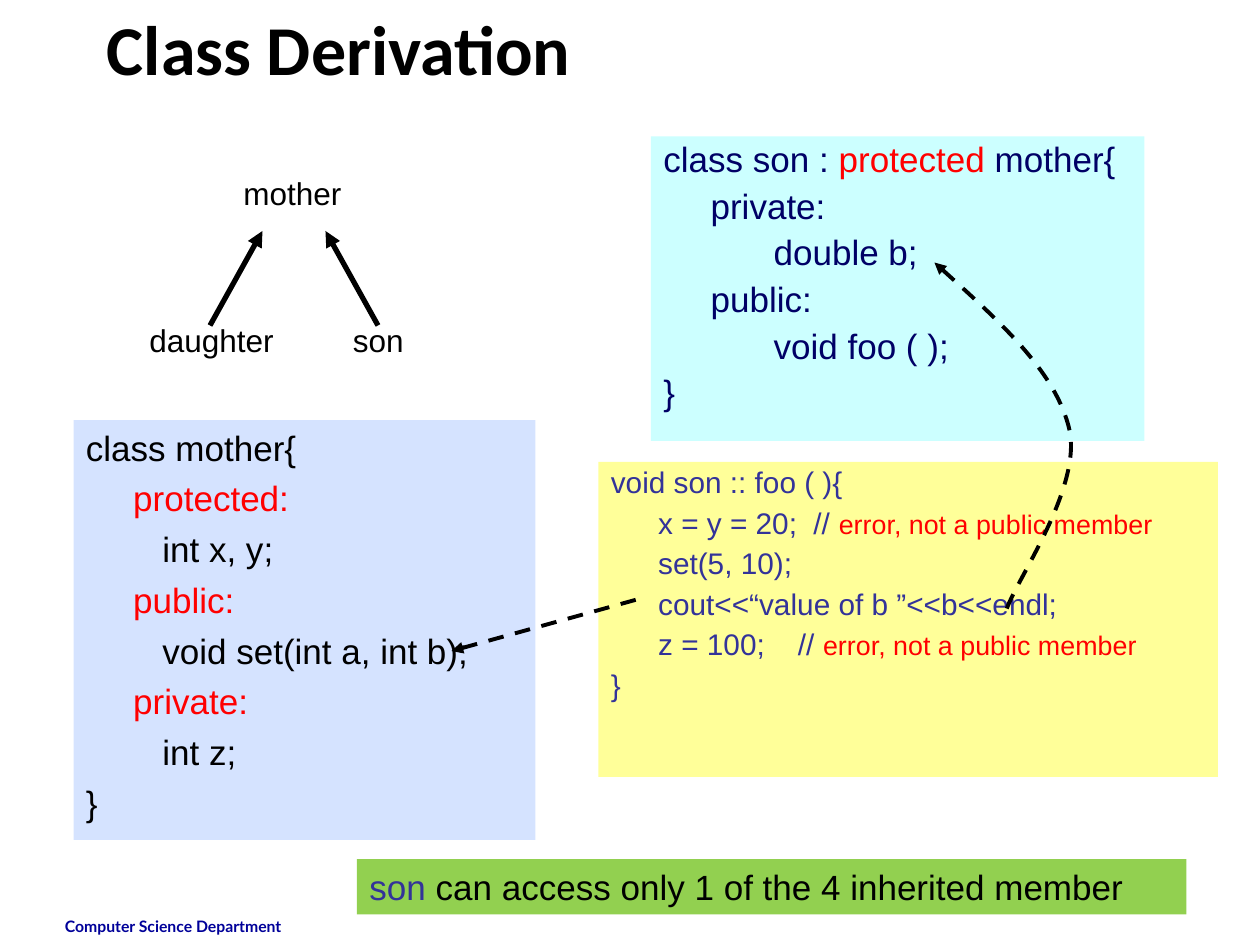
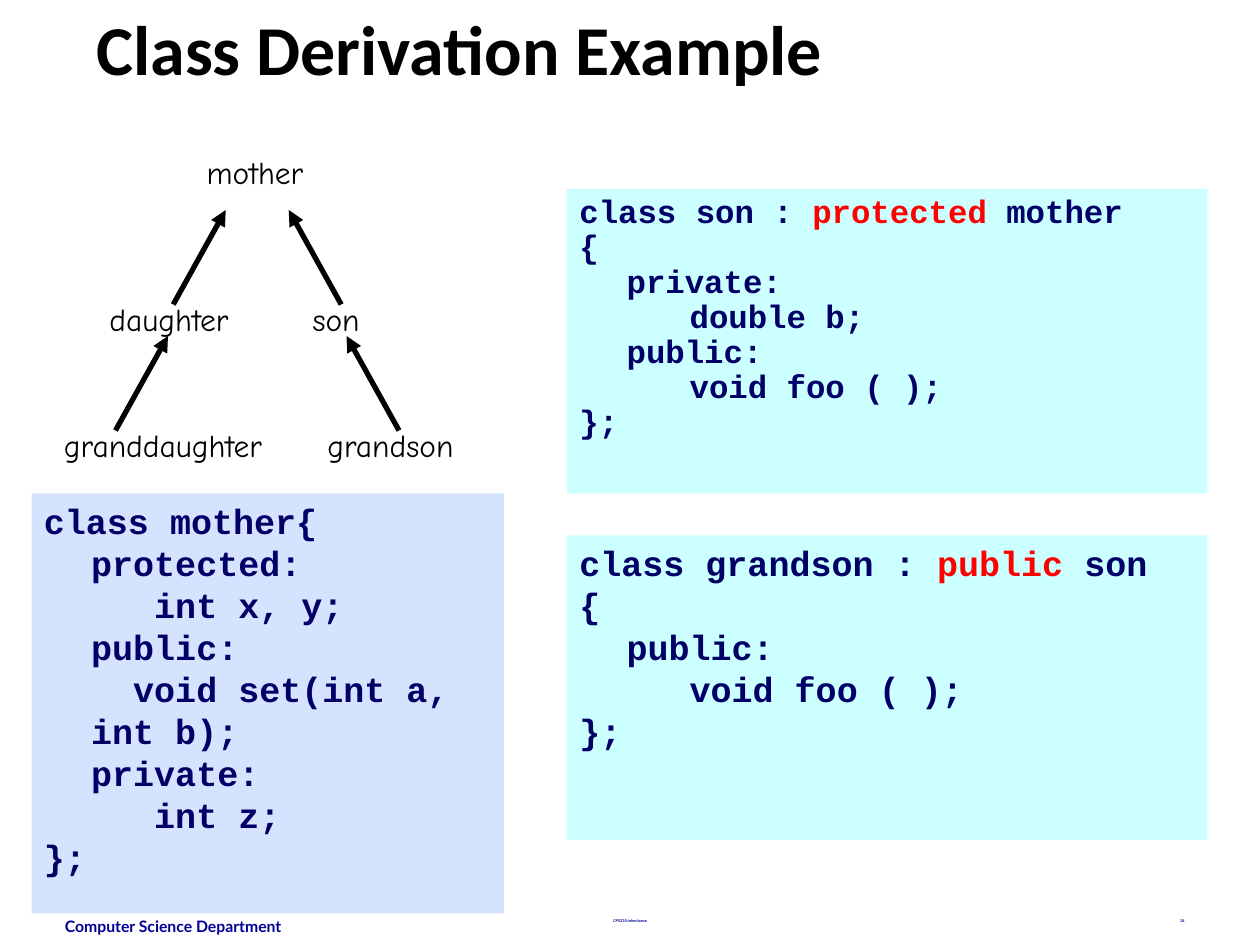
from dataclasses import dataclass
from typing import NamedTuple

from lxml import etree
from pptx import Presentation
from pptx.dml.color import RGBColor
from pptx.enum.dml import MSO_LINE
from pptx.enum.shapes import MSO_CONNECTOR, MSO_SHAPE
from pptx.enum.text import MSO_ANCHOR, PP_ALIGN
from pptx.oxml.ns import qn
from pptx.util import Pt

RECT = MSO_SHAPE.RECTANGLE
LINE = MSO_CONNECTOR.STRAIGHT
DASH = MSO_LINE.DASH
TOP, MIDDLE = MSO_ANCHOR.TOP, MSO_ANCHOR.MIDDLE
LEFT, CENTER, RIGHT = PP_ALIGN.LEFT, PP_ALIGN.CENTER, PP_ALIGN.RIGHT

BLACK, RED, NAVY, INDIGO = "000000", "FF0000", "000066", "333399"
BLUE, CYAN, YELLOW, GREEN = "D5E3FF", "CCFFFF", "FFFF99", "92D050"
FOOT = "000099"
HANG = 27
TABS = 8


class Run(NamedTuple):
    text: str
    color: str = ""
    size: float = 0


@dataclass
class Style:
    font: str
    size: float
    color: str = BLACK
    bold: bool = False
    align: int = LEFT
    spacing: float = 1.0
    before: float = 0
    hang: float = 0


@dataclass
class Panel:
    box: tuple
    fill: str
    style: Style
    lines: list


class Label(NamedTuple):
    text: str
    left: float
    top: float
    width: float


class Arrow(NamedTuple):
    tip: tuple
    tail: tuple
    width: float = 3
    dash: bool = False


def rgb(color: str) -> RGBColor:
    return RGBColor.from_string(color)


def pts(values: tuple) -> list:
    return [Pt(v) for v in values]


def write(shape, lines: list, style: Style, anchor=TOP) -> None:
    """Fill a shape; each line is a string or a list of runs."""
    frame = shape.text_frame
    frame.word_wrap = True
    frame.vertical_anchor = anchor
    for i, line in enumerate(lines):
        para = frame.add_paragraph() if i else frame.paragraphs[0]
        props = para._p.get_or_add_pPr()
        if style.hang:
            props.set("marL", str(Pt(style.hang)))
            props.set("indent", str(-Pt(style.hang)))
            stops = etree.SubElement(props, qn("a:tabLst"))
            for n in range(TABS):
                etree.SubElement(stops, qn("a:tab"),
                                 pos=str(Pt(style.hang + 72 * n)), algn="l")
        para.alignment = style.align
        para.line_spacing = style.spacing
        para.space_before = Pt(style.before if i else 0)
        for part in [Run(line)] if isinstance(line, str) else line:
            run = para.add_run()
            run.text = part.text
            font = run.font
            font.name, font.bold = style.font, style.bold
            font.size = Pt(part.size or style.size)
            font.color.rgb = rgb(part.color or style.color)


def add_text(slide, box: tuple, text: str, style: Style, anchor=TOP) -> None:
    write(slide.shapes.add_textbox(*pts(box)), [text], style, anchor)


def add_panel(slide, panel: Panel) -> None:
    shape = slide.shapes.add_shape(RECT, *pts(panel.box))
    shape.shadow.inherit = False
    shape.fill.solid()
    shape.fill.fore_color.rgb = rgb(panel.fill)
    shape.line.fill.background()
    write(shape, panel.lines, panel.style)


def ink(line, width: float, dash: bool) -> None:
    """Black stroke with an arrowhead at its start."""
    line.color.rgb = rgb(BLACK)
    line.width = Pt(width)
    if dash:
        line.dash_style = DASH
    etree.SubElement(line._get_or_add_ln(), qn("a:headEnd"), type="triangle")


def add_arrow(slide, arrow: Arrow) -> None:
    link = slide.shapes.add_connector(LINE, *pts(arrow.tip + arrow.tail))
    ink(link.line, arrow.width, arrow.dash)
    etree.SubElement(link._element.spPr, qn("a:effectLst"))


def add_curve(slide, points: list) -> None:
    """Dashed Bezier arrow: the tip, then two controls and an end per piece."""
    start, *rest = [tuple(pts(p)) for p in points]
    pen = slide.shapes.build_freeform(*start)
    pen.add_line_segments(rest, close=False)
    shape = pen.convert_to_shape()
    shape.shadow.inherit = False
    shape.fill.background()
    ink(shape.line, 2.25, True)
    track = shape._element.find(".//" + qn("a:path"))
    steps = track.findall(qn("a:lnTo"))
    for i in range(0, len(steps), 3):
        bend = etree.SubElement(track, qn("a:cubicBezTo"))
        for step in steps[i:i + 3]:
            bend.append(step[0])
            track.remove(step)


def add_tree(slide, labels: list, arrows: list, style: Style) -> None:
    for tag in labels:
        add_text(slide, (tag.left, tag.top, tag.width, 28.5), tag.text, style)
    for arrow in arrows:
        add_arrow(slide, arrow)


def rise(x: float, y: float, side: int) -> Arrow:
    """Arrow from a child up to its parent at x, y."""
    return Arrow((x, y), (x + 30 * side, y + 54))


def add_page(deck, title: str, left: float):
    slide = deck.slides.add_slide(deck.slide_layouts[6])
    add_text(slide, (30, 520.5, 168, 19.5), "Computer Science Department",
             Style("Lato", 9, FOOT, True))
    add_text(slide, (left, 0, 612, 54), title,
             Style("Calibri", 40, bold=True), MIDDLE)
    return slide


def access(word: str) -> list:
    return [Run("\t"), Run(word, RED)]


def head(start: str, word: str, end: str) -> list:
    return [Run(start), Run(word, RED), Run(end)]


def wrong(code: str) -> list:
    return [Run(code), Run("error, not a public member", RED, 15.3)]


def derive(deck) -> None:
    slide = add_page(deck, "Class Derivation", 54)
    add_tree(slide,
             [Label("mother", 132, 96, 84), Label("daughter", 78.25, 180, 100),
              Label("son", 194.5, 180, 60)],
             [rise(150, 132, -1), rise(186, 132, 1)], Style("Arial", 18))

    # Class code and the note below it
    panels = [
        Panel((42, 240, 264, 240), BLUE, Style("Arial", 20, before=5, hang=HANG), [
            "class mother{",
            access("protected:"),
            "\t   int x, y;",
            access("public:"),
            "\t   void set(int a, int b);",
            access("private:"),
            "\t   int z;",
            "}"]),
        Panel((372, 78, 282, 174), CYAN,
              Style("Arial", 20, NAVY, spacing=0.9, before=5, hang=HANG), [
                  head("class son : ", "protected", " mother{"),
                  "\tprivate:",
                  "\t\tdouble b;",
                  "\tpublic:",
                  "\t\tvoid foo ( );",
                  "}"]),
        Panel((342, 264, 354, 180), YELLOW,
              Style("Arial", 17, INDIGO, spacing=0.9, before=4.75, hang=HANG), [
                  "void son :: foo ( ){",
                  wrong("\tx = y = 20;  // "),
                  "\tset(5, 10);",
                  "\tcout<<“value of b ”<<b<<endl;",
                  wrong("\tz = 100;    // "),
                  "}"]),
        Panel((204, 491, 474, 31.5), GREEN, Style("Arial", 20), [
            [Run("son", INDIGO),
             Run(" can access only 1 of the 4 inherited member")]]),
    ]
    for panel in panels:
        add_panel(slide, panel)

    # Links from calls to members
    add_curve(slide, [(534, 150), (568.8, 181.4), (604.1, 213.1), (611.3, 246.2),
                      (617.8, 279.4), (581, 331.2), (575.3, 348)])
    add_arrow(slide, Arrow((258, 372), (366, 342), 2.25, True))


def example(deck) -> None:
    slide = add_page(deck, "Class Derivation Example", 48)
    for left, width, text, align in [(246, 228, "CPS235:Inheritance", CENTER),
                                     (516, 168, "24", RIGHT)]:
        add_text(slide, (left, 522, width, 7), text,
                 Style("Lato", 2.2, FOOT, True, align, 0.8))

    add_tree(slide,
             [Label("mother", 111, 84, 84), Label("daughter", 55.5, 168, 100),
              Label("son", 171.5, 168, 60), Label("granddaughter", 29.5, 240, 144),
              Label("grandson", 180, 240, 104)],
             [rise(129, 120, -1), rise(165, 120, 1),
              rise(96, 192, -1), rise(198, 192, 1)], Style("Comic Neue", 18))

    # Class code
    code = Style("Courier New", 20, NAVY, True, hang=HANG)
    tight = Style("Courier New", 18.5, NAVY, True, spacing=0.9, hang=HANG)
    panels = [
        Panel((18, 282, 270, 240), BLUE, code, [
            "class mother{",
            "\tprotected:",
            "\t   int x, y;",
            "\tpublic:",
            "\t  void set(int a, int b);",
            "\tprivate:",
            "\t   int z;",
            "};"]),
        Panel((324, 108, 366, 174), CYAN, tight, [
            head("class son : ", "protected", " mother"),
            "{",
            "\tprivate:",
            "\t\tdouble b;",
            "\tpublic:",
            "\t\tvoid foo ( );",
            "};"]),
        Panel((324, 306, 366, 174), CYAN, code, [
            head("class grandson : ", "public", " son"),
            "{",
            "\tpublic:",
            "\t\tvoid foo ( );",
            "};"]),
    ]
    for panel in panels:
        add_panel(slide, panel)


def main() -> None:
    deck = Presentation()
    deck.slide_width, deck.slide_height = Pt(720), Pt(540)
    derive(deck)
    example(deck)
    deck.save("out.pptx")


if __name__ == "__main__":
    main()
